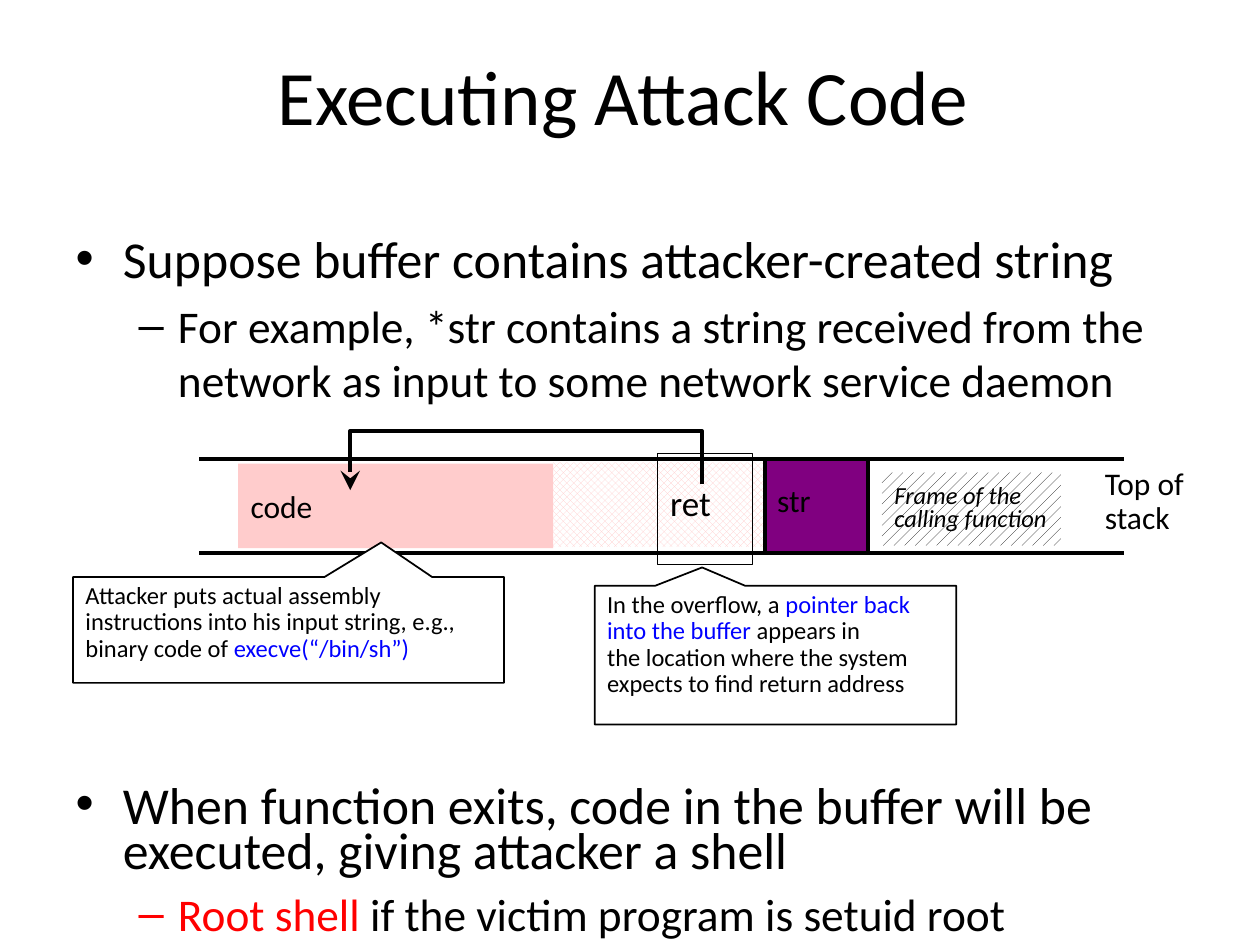
from lxml import etree
from pptx import Presentation, util as u
from pptx.dml.color import RGBColor
from pptx.enum import dml, shapes, text
from pptx.oxml.ns import qn

COLORS = {"black": "000000", "white": "FFFFFF", "pink": "FFCCCC",
          "purple": "800080", "blue": "0000FF", "red": "FF0000"}
FONT = "Calibri"
RECT = shapes.MSO_SHAPE.RECTANGLE
CALLOUT = shapes.MSO_SHAPE.RECTANGULAR_CALLOUT
MIDDLE, TOP = text.MSO_ANCHOR.MIDDLE, text.MSO_ANCHOR.TOP

# Content: a paragraph is a list of (words, colour) spans
TITLE = "Executing Attack Code"
# (level, size, space before, line spacing, spans)
BULLETS = [
    (0, 29.6, 6, 1, [("Suppose buffer contains attacker-created string", "black")]),
    (1, 25.9, 5, 1, [("For example, *str contains a string received from the "
                      "network as input to some network service daemon", "black")]),
    (0, 29.6, 218, 0.73, [("When function exits, code in the buffer will be "
                           "executed, giving attacker a shell", "black")]),
    (1, 25.9, 4, 1, [("Root shell", "red"),
                     (" if the victim program is setuid root", "black")]),
]
CODE = [[("code", "black")]]
STR = [[("str", "black")]]
RET = [[("ret", "black")]]
FRAME = [[("Frame of the", "black")], [("calling function", "black")]]
STACK_TOP = [[("Top of", "black")], [("stack", "black")]]
CODE_NOTE = [
    [("Attacker puts actual assembly", "black")],
    [("instructions into his input string, e.g.,", "black")],
    [("binary code of ", "black"), ("execve(“/bin/sh”)", "blue")],
]
RET_NOTE = [
    [("In the overflow, a ", "black"), ("pointer back", "blue")],
    [("into the buffer", "blue"), (" appears in", "black")],
    [("the location where the system", "black")],
    [("expects to find return address", "black")],
]

# Stack strip: left, right, top rail, bottom rail
LEFT, RIGHT, RAIL_TOP, RAIL_BOTTOM = 1.58, 8.92, 3.64, 4.39
CHECKS = (dml.MSO_PATTERN.LARGE_CHECKER_BOARD, "pink")
DOTS = (dml.MSO_PATTERN.PERCENT_20, "black")


def color(name):
    return RGBColor.from_string(COLORS[name])


def inches(values):
    return [u.Inches(v) for v in values]


def add_spans(para, spans, size, italic=False):
    for words, name in spans:
        span = para.add_run()
        span.text = words
        span.font.name, span.font.size = FONT, u.Pt(size)
        span.font.color.rgb = color(name)
        if italic:
            span.font.italic = True


def write(box, lines, size, spacing=1, anchor=MIDDLE, italic=False):
    frame = box.text_frame
    frame.word_wrap, frame.vertical_anchor = False, anchor
    for i, spans in enumerate(lines):
        para = frame.add_paragraph() if i else frame.paragraphs[0]
        para.alignment = text.PP_ALIGN.LEFT
        para.line_spacing = spacing
        add_spans(para, spans, size, italic)


def place(box, area):
    box.left, box.top, box.width, box.height = inches(area)


def ink(shape, width):
    shape.line.color.rgb = color("black")
    shape.line.width = u.Pt(width)


def add_box(slide, kind, area, fill=None, line=None):
    box = slide.shapes.add_shape(kind, *inches(area))
    box.shadow.inherit = False
    if fill is None:
        box.fill.background()
    elif isinstance(fill, tuple):
        box.fill.patterned()
        box.fill.pattern = fill[0]
        box.fill.fore_color.rgb = color(fill[1])
        box.fill.back_color.rgb = color("white")
    else:
        box.fill.solid()
        box.fill.fore_color.rgb = color(fill)
    if line is None:
        box.line.fill.background()
    else:
        ink(box, line)
    return box


def add_rail(slide, y):
    rail = slide.shapes.add_connector(
        shapes.MSO_CONNECTOR.STRAIGHT, *inches((LEFT, y, RIGHT, y)))
    ink(rail, 2.25)
    etree.SubElement(rail._element.spPr, qn("a:effectLst"))


def add_callout(slide, area, tip, lines):
    box = add_box(slide, CALLOUT, area, "white", 1)
    box.adjustments[0], box.adjustments[1] = tip
    write(box, lines, 14, 0.9, TOP)


def add_arrow(slide, points):
    start, *rest = [inches(point) for point in points]
    builder = slide.shapes.build_freeform(*start)
    builder.add_line_segments(rest, close=False)
    arrow = builder.convert_to_shape()
    arrow.shadow.inherit = False
    arrow.fill.background()
    ink(arrow, 2.25)
    etree.SubElement(arrow._element.spPr.find(qn("a:ln")), qn("a:tailEnd"),
                     type="stealth", w="lg", len="lg")


def main():
    deck = Presentation()
    deck.slide_width, deck.slide_height = inches((10, 7.5))
    slide = deck.slides.add_slide(deck.slide_layouts[1])
    title, body = slide.shapes.title, slide.placeholders[1]

    # Title and bullets
    place(title, (0.44, 0.25, 9.01, 1))
    add_spans(title.text_frame.paragraphs[0], [(TITLE, "black")], 44)
    place(body, (0.5, 1.75, 9.17, 5.58))
    frame = body.text_frame
    frame.auto_size = text.MSO_AUTO_SIZE.NONE
    for i, (level, size, before, spacing, spans) in enumerate(BULLETS):
        para = frame.add_paragraph() if i else frame.paragraphs[0]
        para.level, para.line_spacing = level, spacing
        para.space_before = u.Pt(before)
        add_spans(para, spans, size)

    # Stack strip
    height = RAIL_BOTTOM - RAIL_TOP
    add_box(slide, RECT, (4.39, 3.67, 1.83, 0.67), CHECKS)
    for y in (RAIL_TOP, RAIL_BOTTOM):
        add_rail(slide, y)
    write(add_box(slide, RECT, (1.89, 3.68, 2.5, 0.67), "pink"), CODE, 18)
    write(add_box(slide, RECT, (6.07, RAIL_TOP, 0.82, height), "purple", 2.25),
          STR, 18, 0.6)
    write(add_box(slide, RECT, (7, 3.75, 1.42, 0.58), DOTS),
          FRAME, 14, 0.8, italic=True)
    write(add_box(slide, RECT, (5.22, 3.6, 0.75, 0.88), line=0.5), RET, 20, 0.6)

    # Notes, pointer back into the buffer, end label
    add_callout(slide, (0.58, 4.58, 3.42, 0.84), (0.215, -0.827), CODE_NOTE)
    add_callout(slide, (4.72, 4.65, 2.87, 1.1), (-0.203, -0.633), RET_NOTE)
    add_arrow(slide, [(5.57, 3.84), (5.57, 3.42), (2.78, 3.42), (2.78, 3.89)])
    label = slide.shapes.add_textbox(*inches((8.67, 3.67, 0.91, 0.7)))
    write(label, STACK_TOP, 18, 0.9, TOP)

    deck.save("out.pptx")


if __name__ == "__main__":
    main()
